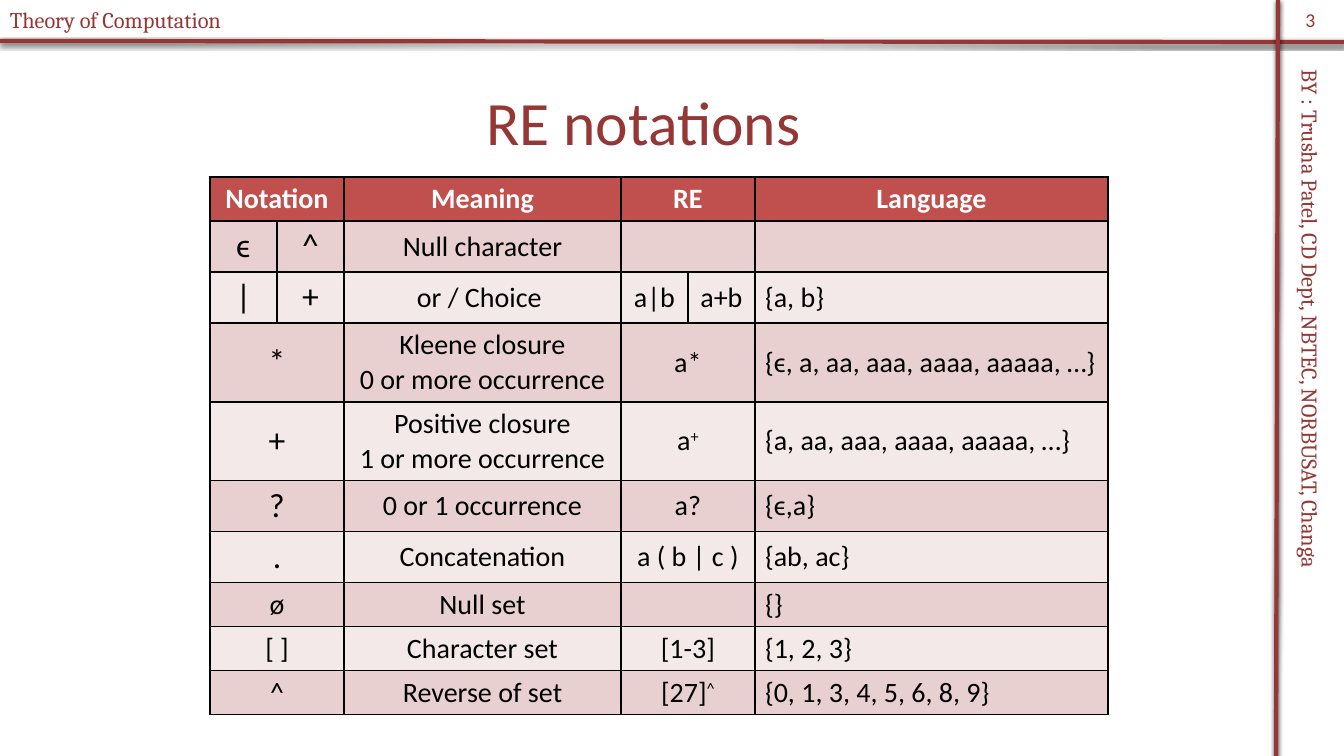
"""Build the slide that lists regular expression notations."""
from typing import NamedTuple

from lxml import etree
from pptx import Presentation
from pptx import util as u
from pptx.dml.color import RGBColor
from pptx.enum import shapes, text
from pptx.oxml import ns

PX_PER_INCH = 100.8
MAROON = RGBColor(0x95, 0x37, 0x35)
HEADER_RED = RGBColor(0xC0, 0x50, 0x4D)
DARK_BAND = RGBColor(0xE8, 0xD0, 0xD0)
LIGHT_BAND = RGBColor(0xF4, 0xE9, 0xE9)
BLACK = RGBColor(0, 0, 0)
WHITE = RGBColor(0xFF, 0xFF, 0xFF)
CENTER = text.PP_ALIGN.CENTER
LEFT = text.PP_ALIGN.LEFT


class Rule(NamedTuple):
    x1: int
    y1: int
    x2: int
    y2: int


class Label(NamedTuple):
    words: str
    left: int
    top: int
    width: int
    height: int
    font: str = "Cambria"
    size: int = 16
    align: text.PP_ALIGN = LEFT
    rotation: int = 0
    wrap: bool = False


class Row(NamedTuple):
    height: int
    symbols: tuple[str, ...]
    meaning: str
    examples: tuple[str, ...]
    language: str
    symbol_size: int = 20
    power: str = ""


RULES = [Rule(0, 41, 1344, 42), Rule(1278, 0, 1276, 756)]
LABELS = [
    Label("BY : Trusha Patel, CD Dept, NBTEC, NORBUSAT, Changa",
          987, 365, 647, 37, rotation=90),
    Label("Theory of Computation", 0, 1, 332, 37),
    Label("3", 1277, 0, 67, 40, "Calibri", 14, CENTER, wrap=True),
]
COLUMN_WIDTHS = [67, 67, 277, 67, 67, 353]
ROWS = [
    Row(44, ("Notation",), "Meaning", ("RE",), "Language"),
    Row(51, ("ϵ", "^"), "Null character", ("",), "", 24),
    Row(51, ("|", "+"), "or / Choice ", ("a|b", "a+b"), "{a, b}", 24),
    Row(79, ("*",), "Kleene closure\n0 or more occurrence", ("a*",),
        "{ϵ, a, aa, aaa, aaaa, aaaaa, …}", 24),
    Row(79, ("+",), "Positive closure\n1 or more occurrence", ("a",),
        "{a, aa, aaa, aaaa, aaaaa, …}", 24, "+"),
    Row(51, ("?",), "0 or 1 occurrence", ("a?",), "{ϵ,a}", 24),
    Row(51, (".",), "Concatenation", ("a ( b | c )",), "{ab, ac}", 24),
    Row(44, ("ø",), "Null set", ("",), "{}"),
    Row(44, ("[ ]",), "Character set", ("[1-3]",), "{1, 2, 3}"),
    Row(44, ("^",), "Reverse of set", ("[27]",), "{0, 1, 3, 4, 5, 6, 8, 9}", power="^"),
]


def px(length: int) -> u.Emu:
    return u.Inches(length / PX_PER_INCH)


def place(shape, left: int, top: int, width: int, height: int) -> None:
    shape.left, shape.top = px(left), px(top)
    shape.width, shape.height = px(width), px(height)


def style(frame, font: str, size: int, color: RGBColor, align: text.PP_ALIGN,
          bold: bool = False) -> None:
    for para in frame.paragraphs:
        para.alignment = align
        para.font.name = font
        para.font.size = u.Pt(size)
        para.font.bold = bold
        para.font.color.rgb = color


def add_child(parent, tag: str, **attributes: str):
    return etree.SubElement(parent, ns.qn(tag), attributes)


def draw_rule(page, rule: Rule) -> None:
    line = page.shapes.add_connector(
        shapes.MSO_CONNECTOR.STRAIGHT, *(px(length) for length in rule))
    line.line.color.rgb = MAROON
    line.line.width = u.Pt(3)
    effects = add_child(line._element.spPr, "a:effectLst")
    shadow = add_child(effects, "a:outerShdw", blurRad="40000", dist="23000",
                       dir="5400000", rotWithShape="0")
    color = add_child(shadow, "a:srgbClr", val=str(BLACK))
    add_child(color, "a:alpha", val="70000")


def draw_label(page, label: Label) -> None:
    box = page.shapes.add_textbox(0, 0, 0, 0)
    place(box, label.left, label.top, label.width, label.height)
    box.rotation = label.rotation
    frame = box.text_frame
    frame.word_wrap = label.wrap
    frame.vertical_anchor = text.MSO_ANCHOR.MIDDLE
    frame.text = label.words
    style(frame, label.font, label.size, MAROON, label.align)


def format_cell(cell, fill: RGBColor) -> None:
    properties = cell._tc.get_or_add_tcPr()
    for side in ("a:lnL", "a:lnR", "a:lnT", "a:lnB"):
        border = add_child(properties, side, w=str(u.Pt(1)))
        add_child(add_child(border, "a:solidFill"), "a:srgbClr", val=str(BLACK))
    cell.fill.solid()
    cell.fill.fore_color.rgb = fill
    cell.vertical_anchor = text.MSO_ANCHOR.MIDDLE


def write_cell(cell, words: str, size: int, header: bool,
               align: text.PP_ALIGN = CENTER, power: str = "") -> None:
    frame = cell.text_frame
    frame.text = words
    if power:
        span = frame.paragraphs[0].add_run()
        span.text = power
        span.font._element.set("baseline", "30000")
    style(frame, "Calibri", size, WHITE if header else BLACK, align, header)


def write_group(table, row: int, column: int, words: tuple[str, ...], size: int,
                power: str = "") -> None:
    if len(words) == 1:
        table.cell(row, column).merge(table.cell(row, column + 1))
    for offset, word in enumerate(words):
        write_cell(table.cell(row, column + offset), word, size, row == 0, power=power)


def draw_table(page) -> None:
    heights = [row.height for row in ROWS]
    table = page.shapes.add_table(
        len(ROWS), len(COLUMN_WIDTHS), px(210), px(177),
        px(sum(COLUMN_WIDTHS)), px(sum(heights))).table
    for column, width in zip(table.columns, COLUMN_WIDTHS):
        column.width = px(width)
    for index, row in enumerate(ROWS):
        header = index == 0
        table.rows[index].height = px(row.height)
        fill = HEADER_RED if header else DARK_BAND if index % 2 else LIGHT_BAND
        for cell in table.rows[index].cells:
            format_cell(cell, fill)
        write_group(table, index, 0, row.symbols, row.symbol_size)
        write_cell(table.cell(index, 2), row.meaning, 20, header)
        write_group(table, index, 3, row.examples, 20, row.power)
        write_cell(table.cell(index, 5), row.language, 20, header,
                   CENTER if header else LEFT)


def main() -> None:
    deck = Presentation()
    deck.slide_width, deck.slide_height = px(1344), px(756)
    page = deck.slides.add_slide(deck.slide_layouts[5])
    for rule in RULES:
        draw_rule(page, rule)
    for label in LABELS:
        draw_label(page, label)
    title = page.shapes.title
    place(title, 22, 58, 1243, 126)
    title.text_frame.text = "RE notations"
    title.text_frame.vertical_anchor = text.MSO_ANCHOR.MIDDLE
    style(title.text_frame, "Calibri", 44, MAROON, CENTER)
    draw_table(page)
    deck.save("out.pptx")


if __name__ == "__main__":
    main()
